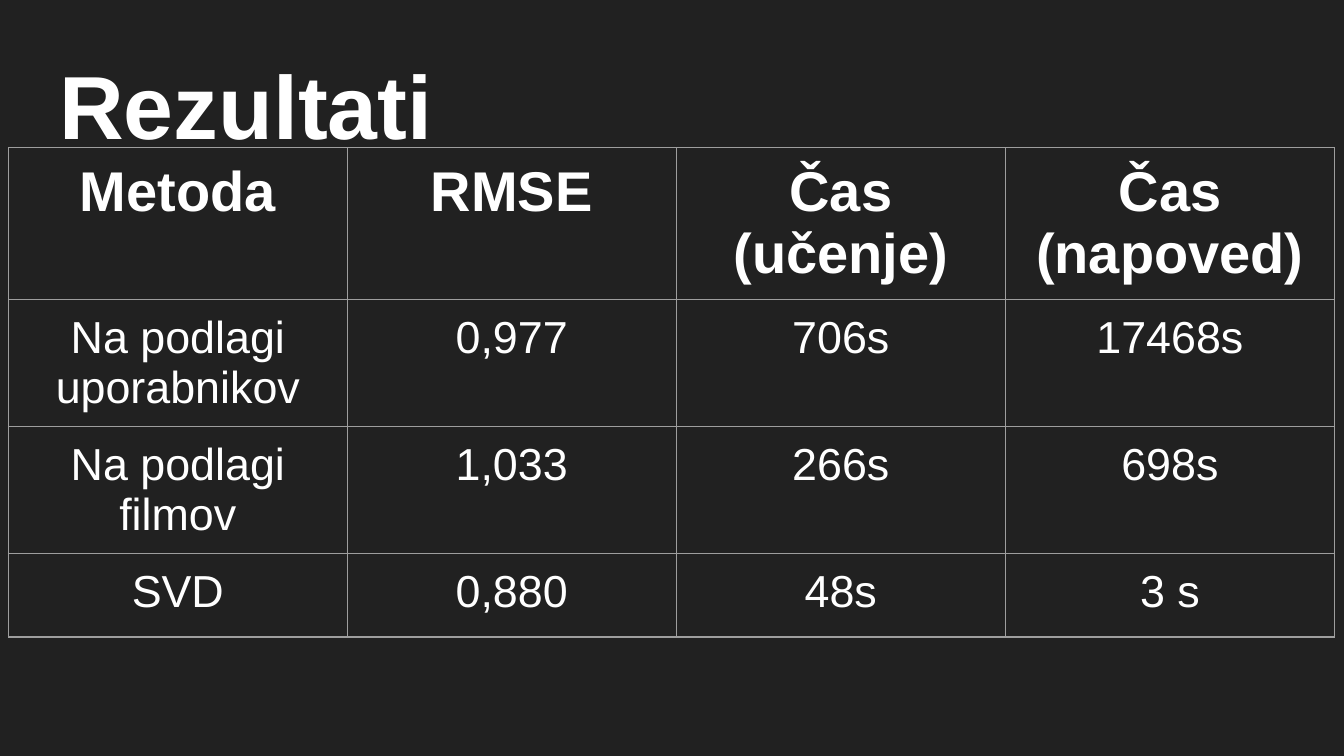
from lxml.etree import SubElement
from pptx import Presentation
from pptx.dml.color import RGBColor
from pptx.enum.text import MSO_ANCHOR, MSO_AUTO_SIZE, PP_ALIGN
from pptx.oxml.ns import qn
from pptx.util import Cm, Pt

DARK = RGBColor(0x21, 0x21, 0x21)
WHITE = RGBColor(0xFF, 0xFF, 0xFF)
GREY = RGBColor(0x9E, 0x9E, 0x9E)
MARGIN = Cm(0.25)

ROWS = [
    ["Metoda", "RMSE", "Čas (učenje)", "Čas (napoved)"],
    ["Na podlagi uporabnikov", "0,977", "706s", "17468s"],
    ["Na podlagi filmov", "1,033", "266s", "698s"],
    ["SVD", "0,880", "48s", "3 s"],
]
COL_WIDTHS = [6.4, 6.22, 6.22, 6.22]
ROW_HEIGHTS = [2.87, 2.4, 2.4, 1.58]


def style(p, size, bold, align):
    p.alignment = align
    p.font.name = "Arial"
    p.font.size = Pt(size)
    p.font.bold = bold
    p.font.color.rgb = WHITE


def add_borders(cell):
    tc_pr = cell._tc.get_or_add_tcPr()
    for i, side in enumerate(("a:lnL", "a:lnR", "a:lnT", "a:lnB")):
        ln = tc_pr.makeelement(qn(side), {"w": str(Pt(0.75))})
        fill = SubElement(ln, qn("a:solidFill"))
        SubElement(fill, qn("a:srgbClr"), val=str(GREY))
        tc_pr.insert(i, ln)


prs = Presentation()
prs.slide_width, prs.slide_height = Cm(25.4), Cm(14.29)
s = prs.slides.add_slide(prs.slide_layouts[5])
s.background.fill.solid()
s.background.fill.fore_color.rgb = DARK

title = s.shapes.title
title.left, title.top = Cm(0.87), Cm(0.53)
title.width, title.height = Cm(23.67), Cm(2.41)
tf = title.text_frame
tf.text = "Rezultati"
tf.auto_size = MSO_AUTO_SIZE.NONE
tf.vertical_anchor = MSO_ANCHOR.TOP
tf.margin_left = tf.margin_right = tf.margin_bottom = MARGIN
tf.margin_top = Cm(0.41)
style(tf.paragraphs[0], 48, True, PP_ALIGN.LEFT)

table = s.shapes.add_table(
    len(ROWS), len(COL_WIDTHS), Cm(0.16), Cm(2.79),
    Cm(sum(COL_WIDTHS)), Cm(sum(ROW_HEIGHTS)),
).table
table.horz_banding = False
for col, width in zip(table.columns, COL_WIDTHS):
    col.width = Cm(width)
for row, height in zip(table.rows, ROW_HEIGHTS):
    row.height = Cm(height)

for i, texts in enumerate(ROWS):
    header = i == 0
    for j, text in enumerate(texts):
        cell = table.cell(i, j)
        cell.text = text
        cell.fill.background()
        cell.margin_left = cell.margin_right = MARGIN
        cell.margin_top = cell.margin_bottom = MARGIN
        style(cell.text_frame.paragraphs[0], 30 if header else 24, header, PP_ALIGN.CENTER)
        add_borders(cell)

prs.save("out.pptx")
